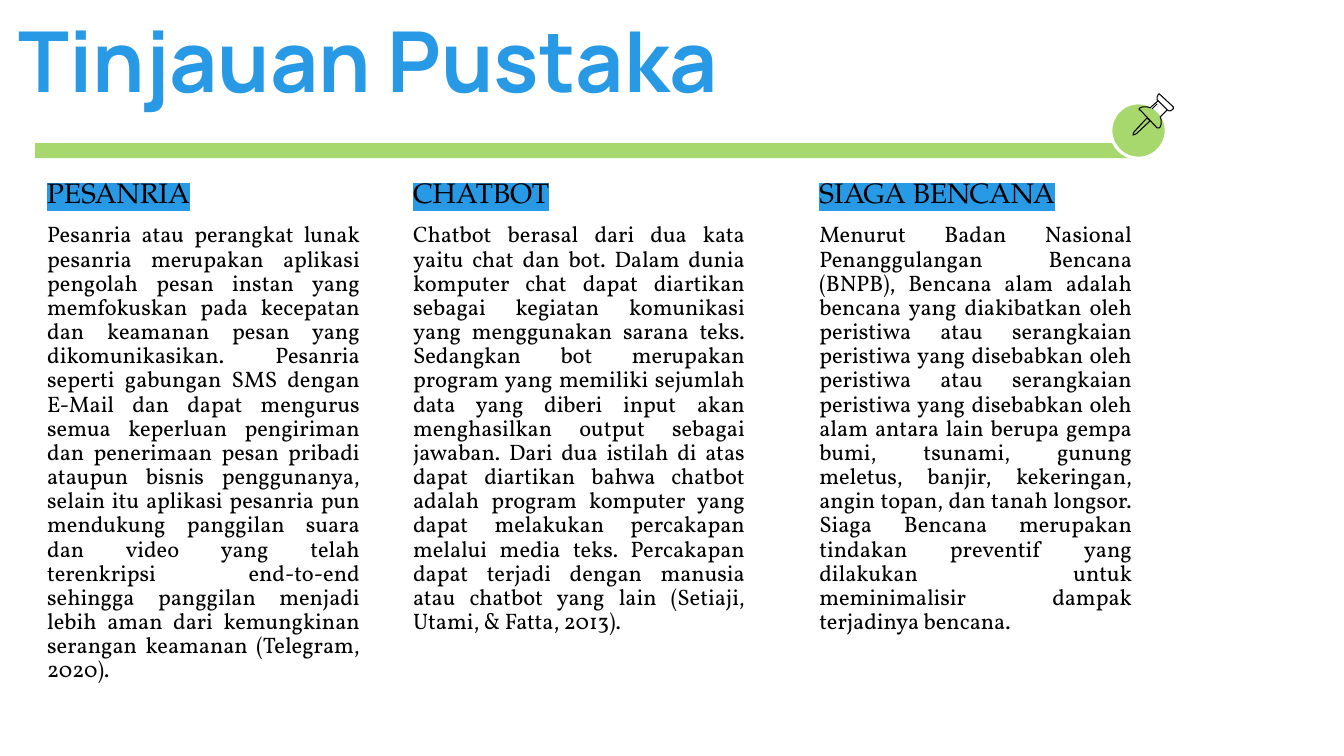
from lxml import etree
from pptx import Presentation
from pptx.dml.color import RGBColor
from pptx.enum.shapes import MSO_SHAPE as Shape
from pptx.enum.text import MSO_ANCHOR as Anchor, PP_ALIGN as Align
from pptx.oxml.ns import qn
from pptx.util import Pt

COLORS = {"blue": "2899E5", "green": "A7D86D", "white": "FFFFFF", "black": "000000"}

TITLE = {"size": Pt(60), "name": "Manrope", "bold": True}
HEADING = {"size": Pt(20), "name": "TeX Gyre Pagella"}
BODY = {"size": Pt(16), "name": "Vollkorn"}

# Left edge, indent, heading and body of each column
COLUMNS = [
    (12.96, 13.68, "PESANRIA",
     "Pesanria atau perangkat lunak pesanria merupakan aplikasi pengolah pesan instan "
     "yang memfokuskan pada kecepatan dan keamanan pesan yang dikomunikasikan. "
     "Pesanria seperti gabungan SMS dengan E-Mail dan dapat mengurus semua keperluan "
     "pengiriman dan penerimaan pesan pribadi ataupun bisnis penggunanya, selain itu "
     "aplikasi pesanria pun mendukung panggilan suara dan video yang telah terenkripsi "
     "end-to-end sehingga panggilan menjadi lebih aman dari kemungkinan serangan "
     "keamanan (Telegram, 2020)."),
    (288, 0, "CHATBOT",
     "Chatbot berasal dari dua kata yaitu chat dan bot. Dalam dunia komputer chat dapat "
     "diartikan sebagai kegiatan komunikasi yang menggunakan sarana teks. Sedangkan bot "
     "merupakan program yang memiliki sejumlah data yang diberi input akan menghasilkan "
     "output sebagai jawaban. Dari dua istilah di atas dapat diartikan bahwa chatbot "
     "adalah program komputer yang dapat melakukan percakapan melalui media teks. "
     "Percakapan dapat terjadi dengan manusia atau chatbot yang lain (Setiaji, Utami, "
     "& Fatta, 2013)."),
    (564.48, 13.68, "SIAGA BENCANA",
     "Menurut Badan Nasional Penanggulangan Bencana (BNPB), Bencana alam adalah bencana "
     "yang diakibatkan oleh peristiwa atau serangkaian peristiwa yang disebabkan oleh "
     "peristiwa atau serangkaian peristiwa yang disebabkan oleh alam antara lain berupa "
     "gempa bumi, tsunami, gunung meletus, banjir, kekeringan, angin topan, dan tanah "
     "longsor. Siaga Bencana merupakan tindakan preventif yang dilakukan untuk "
     "meminimalisir dampak terjadinya bencana."),
]

# Pin outlines in steps of 0.72 points: needle, cap, body, highlight
PIN_STEP = 0.72
PIN_PARTS = [
    ([(1138, 117), (1125, 131), (1124, 134), (1127, 133), (1141, 120)], True),
    ([(1149, 100), (1158, 109), (1160, 110), (1161, 110), (1163, 109), (1164, 108),
      (1164, 106), (1151, 94), (1150, 93), (1149, 94), (1148, 96), (1148, 99)], True),
    ([(1149, 100), (1141, 107), (1138, 106), (1134, 106), (1131, 107), (1130, 108),
      (1130, 109), (1131, 109), (1148, 127), (1150, 127), (1151, 126), (1152, 123),
      (1152, 119), (1151, 116), (1158, 109)], False),
    ([(1143, 108), (1148, 103)], False),
]


class SlideBuilder:
    def __init__(self, slide, colors):
        self.slide = slide
        self.colors = {name: RGBColor.from_string(value) for name, value in colors.items()}

    def text_box(self, left, top, width, height, inset=None):
        shape = self.slide.shapes.add_textbox(Pt(left), Pt(top), Pt(width), Pt(height))
        frame = shape.text_frame
        frame.word_wrap = True
        frame.vertical_anchor = Anchor.TOP
        if inset is not None:
            for side in ("left", "top", "right", "bottom"):
                setattr(frame, f"margin_{side}", Pt(inset))
        return frame

    def fill_paragraph(self, paragraph, text, font, color, align=Align.LEFT, indent=0,
                       before=0, highlight=None):
        properties = paragraph._p.get_or_add_pPr()
        properties.set("marL", str(Pt(indent)))
        properties.set("indent", "0")
        layout = {"alignment": align, "line_spacing": 0.9, "space_before": Pt(before)}
        for name, value in layout.items():
            setattr(paragraph, name, value)
        run = paragraph.add_run()
        run.text = text
        for name, value in font.items():
            setattr(run.font, name, value)
        run.font.color.rgb = self.colors[color]
        if highlight:
            mark = etree.Element(qn("a:highlight"))
            etree.SubElement(mark, qn("a:srgbClr"), val=str(self.colors[highlight]))
            run._r.rPr.find(qn("a:latin")).addprevious(mark)

    def column(self, left, indent, heading, body):
        frame = self.text_box(left, 124.56, 251.28, 389.52)
        self.fill_paragraph(frame.paragraphs[0], heading, HEADING, "black",
                            indent=indent, highlight="blue")
        self.fill_paragraph(frame.add_paragraph(), body, BODY, "black",
                            align=Align.JUSTIFY, indent=indent, before=10)

    def paint(self, shape, fill=None, line=None, line_width=0):
        shape.shadow.inherit = False
        for target, color in ((shape.fill, fill), (shape.line.fill, line)):
            if color:
                target.solid()
                target.fore_color.rgb = self.colors[color]
            else:
                target.background()
        if line:
            shape.line.width = Pt(line_width)

    def preset(self, shapes, kind, left, top, width, height, **style):
        shape = shapes.add_shape(kind, Pt(left), Pt(top), Pt(width), Pt(height))
        self.paint(shape, **style)

    def outline(self, shapes, points, closed, step):
        builder = shapes.build_freeform(*points[0], scale=Pt(step))
        builder.add_line_segments(points[1:], close=closed)
        self.paint(builder.convert_to_shape(), line="black", line_width=0.75)


def main():
    presentation = Presentation()
    presentation.slide_width, presentation.slide_height = Pt(960), Pt(540)
    slide = presentation.slides.add_slide(presentation.slide_layouts[6])
    builder = SlideBuilder(slide, COLORS)

    # Title
    frame = builder.text_box(12.96, 14.4, 519.84, 46.08, inset=0)
    builder.fill_paragraph(frame.paragraphs[0], "Tinjauan Pustaka", TITLE, "blue")

    # Green rule with the pin badge
    builder.preset(slide.shapes, Shape.RECTANGLE, 25.2, 102.24, 796.32, 10.8, fill="green")
    badge = slide.shapes.add_group_shape().shapes
    builder.preset(badge, Shape.OVAL, 793.44, 73.44, 39.6, 39.6,
                   fill="green", line="white", line_width=2.25)
    for points, closed in PIN_PARTS:
        builder.outline(badge, points, closed, PIN_STEP)

    # Three text columns
    for column in COLUMNS:
        builder.column(*column)

    presentation.save("out.pptx")


if __name__ == "__main__":
    main()
